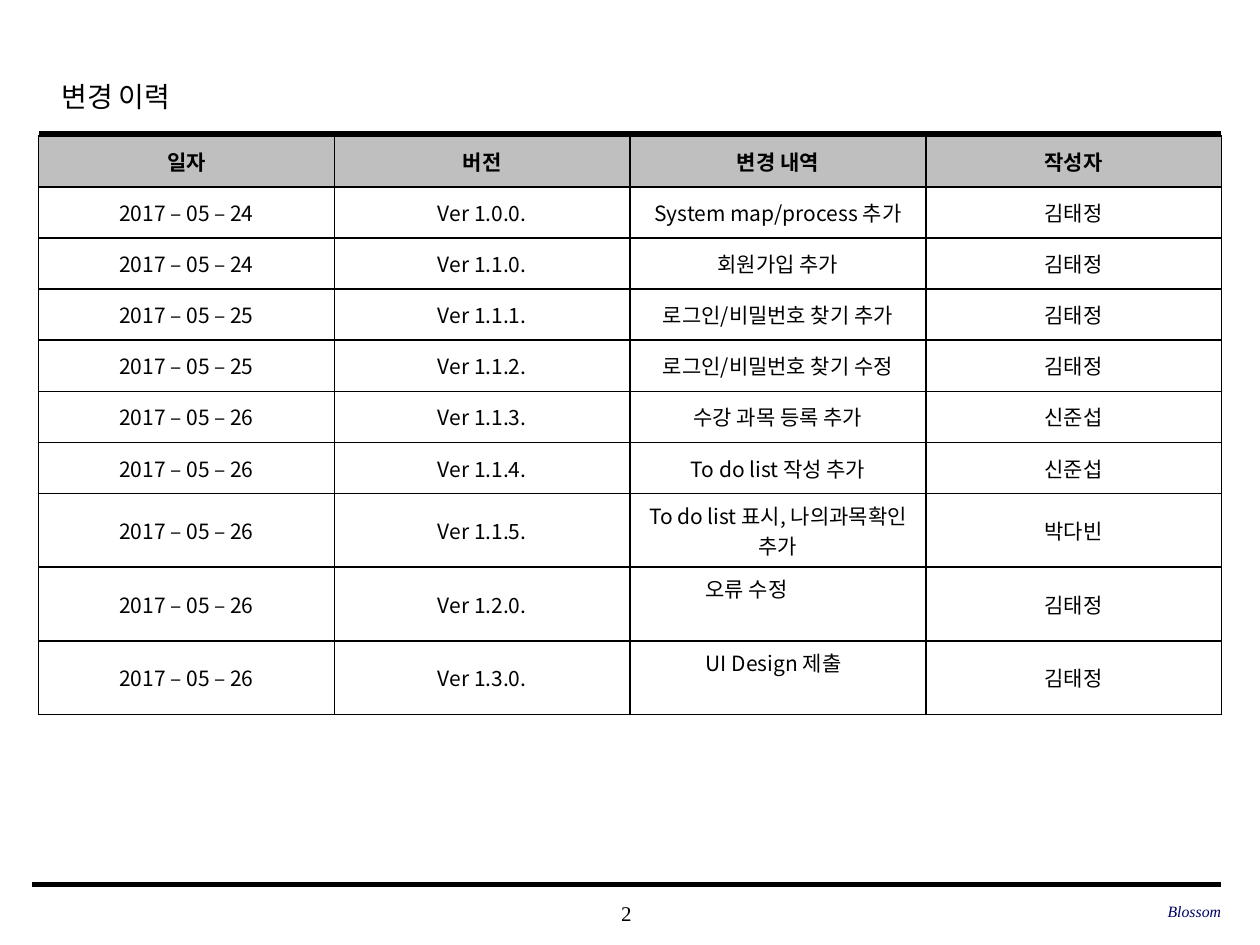
from pptx import Presentation
from pptx.dml.color import RGBColor
from pptx.enum.shapes import MSO_CONNECTOR as Link
from pptx.enum.text import MSO_ANCHOR as Anchor, PP_ALIGN as Align
from pptx.oxml import parse_xml
from pptx.oxml.ns import nsdecls, qn
from pptx.util import Pt
from lxml.etree import SubElement as Sub

SERIF = "Times New Roman"
SANS = "Noto Sans CJK KR"


def tint(code):
    return RGBColor.from_string(code)


class Deck:
    ink = "000000"
    head = "BFBFBF"
    paper = "FFFFFF"

    def __init__(self, wide, high):
        self.prs = Presentation()
        self.prs.slide_width, self.prs.slide_height = Pt(wide), Pt(high)
        self.slide = self.prs.slides.add_slide(self.prs.slide_layouts[6])

    def style(self, par, font, size, color, align, bold=False, slant=False):
        par.alignment = align
        par.font.name, par.font.size = font, Pt(size)
        par.font.bold, par.font.italic = bold, slant
        par.font.color.rgb = tint(color)

    def text(self, words, box, size, align, color=ink, slant=False, inset=0, gap=1):
        frame = self.slide.shapes.add_textbox(*map(Pt, box)).text_frame
        frame.word_wrap = True
        frame.vertical_anchor = Anchor.MIDDLE
        frame.margin_left = frame.margin_right = Pt(inset)
        frame.margin_top = frame.margin_bottom = Pt(inset / 2)
        par = frame.paragraphs[0]
        par.text, par.line_spacing = words, gap
        self.style(par, SERIF, size, color, align, slant=slant)

    def rule(self, left, right, top, width):
        line = self.slide.shapes.add_connector(
            Link.STRAIGHT, Pt(left), Pt(top), Pt(right), Pt(top))
        line.line.color.rgb = tint(self.ink)
        line.line.width = Pt(width)
        Sub(line._element.spPr, qn("a:effectLst"))

    def edge(self, cell):
        props = cell._tc.get_or_add_tcPr()
        for i, side in enumerate(("lnL", "lnR", "lnT", "lnB")):
            props.insert(i, parse_xml(
                f'<a:{side} {nsdecls("a")} w="{Pt(1)}"><a:solidFill>'
                f'<a:srgbClr val="{self.ink}"/></a:solidFill></a:{side}>'))

    def cell(self, cell, words, top):
        cell.fill.solid()
        cell.fill.fore_color.rgb = tint(self.head if top else self.paper)
        cell.vertical_anchor = Anchor.MIDDLE
        par = cell.text_frame.paragraphs[0]
        par.text = words
        self.style(par, SANS, 12, self.ink, Align.CENTER, bold=top)
        self.edge(cell)

    def table(self, rows, left, top, wide, highs):
        count = len(rows[0])
        grid = self.slide.shapes.add_table(
            len(rows), count, Pt(left), Pt(top), Pt(wide), Pt(sum(highs))).table
        for col in grid.columns:
            col.width = Pt(wide / count)
        for r, row in enumerate(rows):
            grid.rows[r].height = Pt(highs[r])
            for c, words in enumerate(row):
                self.cell(grid.cell(r, c), words, r == 0)
        return grid

    def indent(self, cell, left):
        cell.margin_left = Pt(left)
        cell.vertical_anchor = Anchor.TOP
        cell.text_frame.paragraphs[0].alignment = Align.LEFT


def main():
    deck = Deck(720, 540)
    deck.text("2", (283, 509.8, 150, 23.8), 12, Align.CENTER)
    deck.rule(22.3, 697.7, 76.3, 2.5)
    deck.rule(18, 697.7, 505.4, 3)
    deck.text("변경 이력", (28, 35.3, 543.6, 36), 16, Align.LEFT, inset=7.2, gap=1.2)

    log = [
        ("24", "1.0.0", "System map/process 추가", "김태정"),
        ("24", "1.1.0", "회원가입 추가", "김태정"),
        ("25", "1.1.1", "로그인/비밀번호 찾기 추가", "김태정"),
        ("25", "1.1.2", "로그인/비밀번호 찾기 수정", "김태정"),
        ("26", "1.1.3", "수강 과목 등록 추가", "신준섭"),
        ("26", "1.1.4", "To do list 작성 추가", "신준섭"),
        ("26", "1.1.5", "To do list 표시, 나의과목확인 추가", "박다빈"),
        ("26", "1.2.0", "오류 수정", "김태정"),
        ("26", "1.3.0", "UI Design 제출", "김태정"),
    ]
    rows = [("일자", "버전", "변경 내역", "작성자")]
    rows += [(f"2017 – 05 – {day}", f"Ver {ver}.", note, name)
             for day, ver, note, name in log]
    grid = deck.table(rows, 22.1, 77.6, 676, [29.2] * 7 + [42.1] * 3)
    for r in (8, 9):
        deck.indent(grid.cell(r, 2), 43.2)

    deck.text("Blossom", (477.4, 509, 220.3, 23.8), 9, Align.RIGHT, "000066", slant=True)
    deck.prs.save("out.pptx")


if __name__ == "__main__":
    main()
